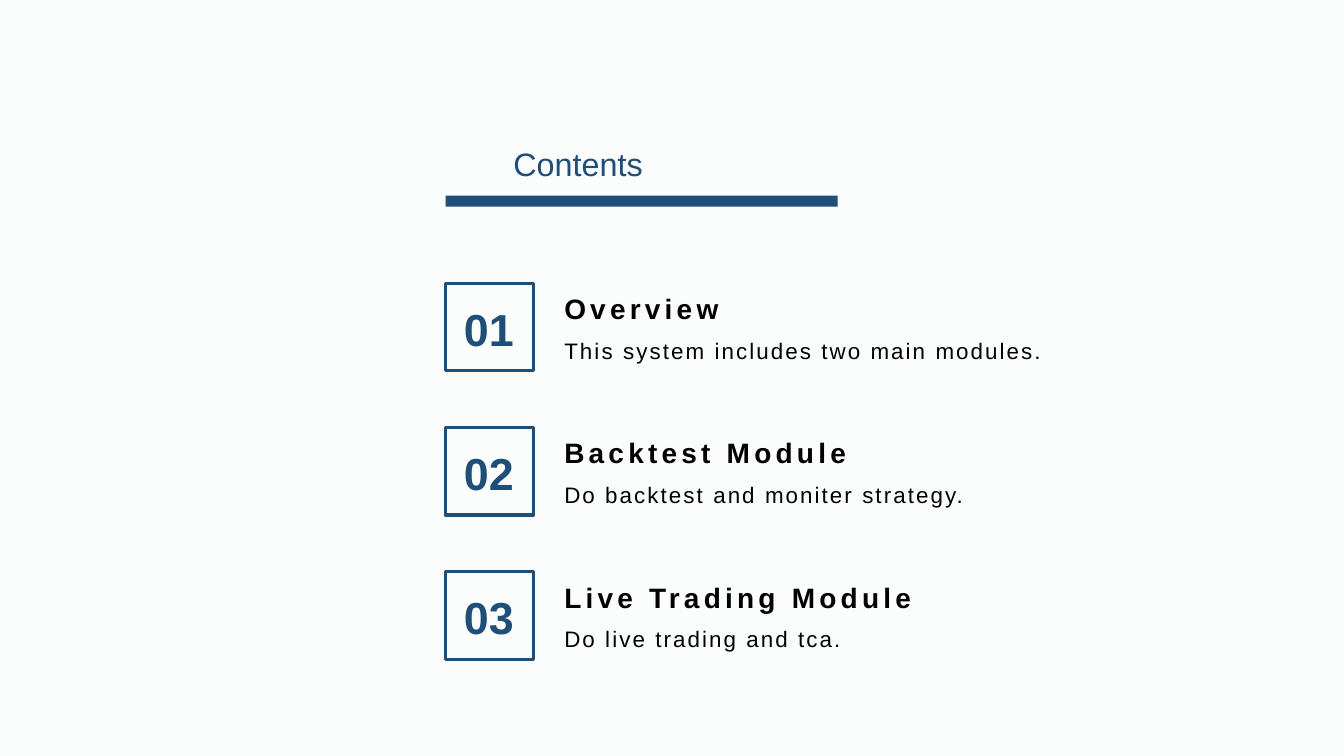
from dataclasses import dataclass
from typing import Any

from pptx import Presentation
from pptx.dml.color import RGBColor
from pptx.enum.shapes import MSO_SHAPE
from pptx.enum.text import MSO_ANCHOR, MSO_AUTO_SIZE, PP_ALIGN
from pptx.util import Pt

NAVY = RGBColor(0x1F, 0x4E, 0x78)
BLACK = RGBColor(0x00, 0x00, 0x00)
PAPER = RGBColor(0xFB, 0xFC, 0xFC)

LEFT_EDGE = 318.24
SQUARE_SIDE = 62.64
ENTRY_TOP = 199.2
ENTRY_PITCH = 103


@dataclass(frozen=True)
class Area:
    left: float
    top: float
    width: float
    height: float

    def lengths(self) -> list[Pt]:
        return [Pt(value) for value in (self.left, self.top, self.width, self.height)]


@dataclass(frozen=True)
class Style:
    size: float
    color: RGBColor
    bold: bool = False
    tracking: float = 0
    line_spacing: float = 1.2
    align: PP_ALIGN = PP_ALIGN.LEFT
    anchor: MSO_ANCHOR = MSO_ANCHOR.TOP
    inset_top: float = 3.6
    inset_bottom: float = 3.6
    inset_side: float = 7.2


@dataclass(frozen=True)
class Entry:
    heading: str
    detail: str


TITLE = Style(23.1, NAVY, align=PP_ALIGN.RIGHT, anchor=MSO_ANCHOR.BOTTOM)
HEADING = Style(20, BLACK, True, 3, anchor=MSO_ANCHOR.BOTTOM, inset_bottom=0)
DETAIL = Style(16, BLACK, tracking=1.5, inset_top=0)
NUMBER = Style(32, NAVY, True, line_spacing=1, align=PP_ALIGN.CENTER,
               anchor=MSO_ANCHOR.MIDDLE, inset_side=0)

ENTRIES = [
    Entry("Overview", "This system includes two main modules."),
    Entry("Backtest Module", "Do backtest and moniter strategy."),
    Entry("Live Trading Module", "Do live trading and tca."),
]


def set_all(target: Any, values: dict[str, Any]) -> None:
    for name, value in values.items():
        setattr(target, name, value)


def write(box: Any, text: str, style: Style) -> None:
    frame = box.text_frame
    set_all(frame, {
        "word_wrap": True,
        "auto_size": MSO_AUTO_SIZE.NONE,
        "vertical_anchor": style.anchor,
        "margin_left": Pt(style.inset_side),
        "margin_right": Pt(style.inset_side),
        "margin_top": Pt(style.inset_top),
        "margin_bottom": Pt(style.inset_bottom),
    })
    para = frame.paragraphs[0]
    set_all(para, {"alignment": style.align, "line_spacing": style.line_spacing})
    span = para.add_run()
    span.text = text
    set_all(span.font, {"name": "Arial", "size": Pt(style.size), "bold": style.bold})
    span.font.color.rgb = style.color
    if style.tracking:
        span.font._element.set("spc", str(round(style.tracking * 100)))


def add_text(page: Any, area: Area, text: str, style: Style) -> None:
    write(page.shapes.add_textbox(*area.lengths()), text, style)


def add_rectangle(page: Any, area: Area) -> Any:
    rectangle = page.shapes.add_shape(MSO_SHAPE.RECTANGLE, *area.lengths())
    rectangle.shadow.inherit = False
    return rectangle


def add_title(page: Any) -> None:
    title = page.shapes.title
    area = Area(340.56, 69.12, 126, 65.52).lengths()
    set_all(title, dict(zip(("left", "top", "width", "height"), area)))
    write(title, "Contents", TITLE)
    bar = add_rectangle(page, Area(LEFT_EDGE, 139.68, 280.08, 7.92))
    bar.fill.solid()
    bar.fill.fore_color.rgb = NAVY
    bar.line.fill.background()


def add_entry(page: Any, index: int, entry: Entry) -> None:
    top = ENTRY_TOP + index * ENTRY_PITCH
    square = add_rectangle(page, Area(LEFT_EDGE, top + 3.1, SQUARE_SIDE, SQUARE_SIDE))
    square.fill.background()
    square.line.color.rgb = NAVY
    square.line.width = Pt(2.25)
    add_text(page, Area(324, top + 12.4, 50.4, 46.08), f"{index + 1:02}", NUMBER)
    add_text(page, Area(396, top, 406.08, 33.12), entry.heading, HEADING)
    add_text(page, Area(396, top + 37.8, 406.08, 27.36), entry.detail, DETAIL)


def main() -> None:
    deck = Presentation()
    set_all(deck, {"slide_width": Pt(960), "slide_height": Pt(540)})
    page = deck.slides.add_slide(deck.slide_layouts.get_by_name("Title Only"))
    page.background.fill.solid()
    page.background.fill.fore_color.rgb = PAPER
    add_title(page)
    for index, entry in enumerate(ENTRIES):
        add_entry(page, index, entry)
    deck.save("out.pptx")


if __name__ == "__main__":
    main()
